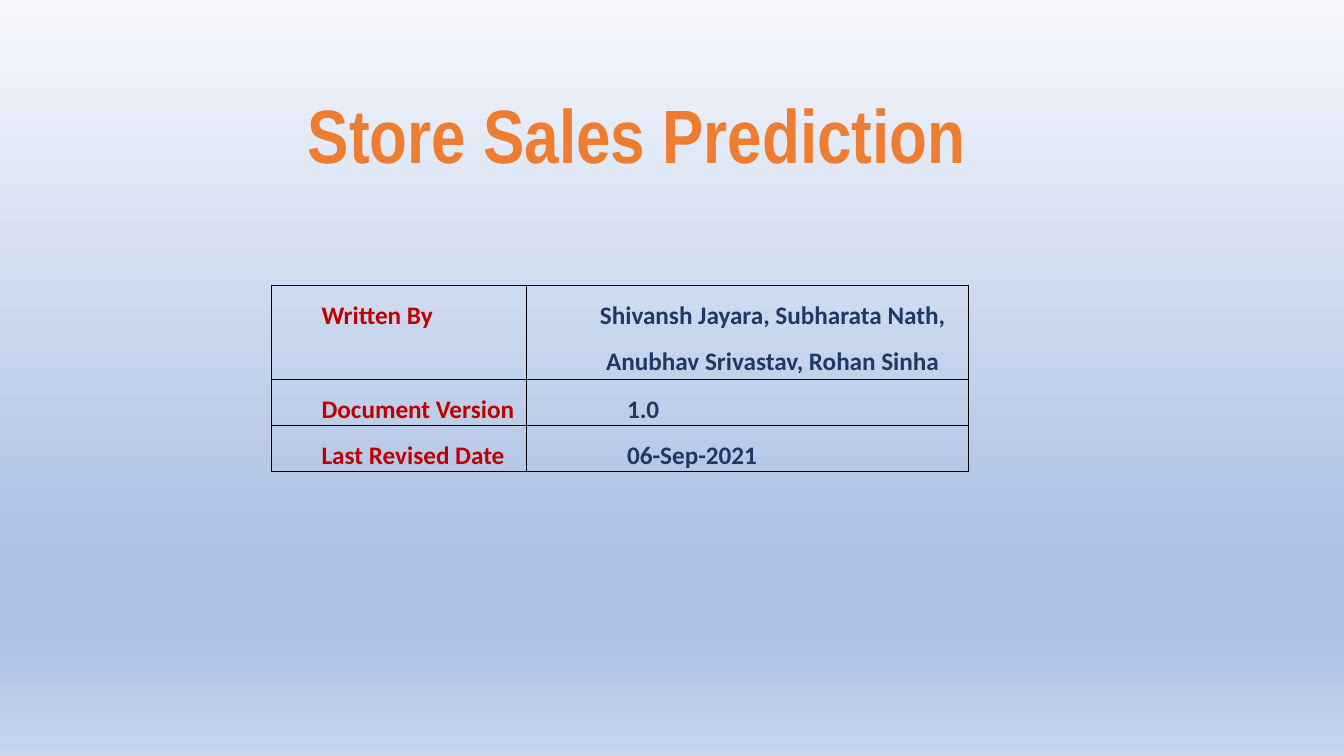
from lxml import etree
from pptx import Presentation
from pptx.dml.color import RGBColor
from pptx.enum.text import MSO_ANCHOR, PP_ALIGN
from pptx.oxml.ns import qn
from pptx.util import Pt

HUES = {"title": "ED7D31", "label": "C00000", "value": "203864", "line": "000000"}
STOPS = [(0, "F6F8FC"), (74, "ABC0E4"), (83, "ABC0E4"), (100, "C7D5ED")]
ROWS = [
    ("Written By", ["Shivansh Jayara, Subharata Nath,", "Anubhav Srivastav, Rohan Sinha"]),
    ("Document Version", ["1.0"]),
    ("Last Revised Date", ["06-Sep-2021"]),
]
COLS = [182.2, 316.1]
HEIGHTS = [67, 31.7, 31.7]


def add_tag(parent, tag, **attrs):
    """Append an XML element with attributes and return it."""
    return etree.SubElement(parent, qn(tag), attrs)


def set_back(slide):
    """Fill the background with a gradient from top to bottom."""
    fill = slide.background.fill
    fill.gradient()
    fill.gradient_angle = 270
    stops = slide.background._cSld.xpath(".//a:gsLst")[0]
    for stop in list(stops):
        stops.remove(stop)
    for place, hue in STOPS:
        stop = add_tag(stops, "a:gs", pos=str(place * 1000))
        add_tag(stop, "a:srgbClr", val=hue)


def put_text(frame, lines, *, size, font, hue, align, space, before=0, indent=0, level=0):
    """Write bold lines into a text frame, one paragraph each."""
    for i, line in enumerate(lines):
        para = frame.add_paragraph() if i else frame.paragraphs[0]
        para.alignment, para.line_spacing, para.level = align, space, level
        para.space_before = Pt(before)
        props = para._p.get_or_add_pPr()
        props.set("marL", str(Pt(indent)))
        props.set("indent", "0")
        run = para.add_run()
        run.text = line
        run.font.size, run.font.name, run.font.bold = Pt(size), font, True
        run.font.color.rgb = RGBColor.from_string(HUES[hue])


def set_title(slide, words):
    """Place and format the title."""
    title = slide.shapes.title
    title.left, title.top, title.width, title.height = map(Pt, (95, 62.6, 720, 69.8))
    title.text_frame.vertical_anchor = MSO_ANCHOR.BOTTOM
    put_text(title.text_frame, [words], size=54, font="Arial Narrow", hue="title",
             align=PP_ALIGN.CENTER, space=0.9)


def set_cell(cell, lines, **style):
    """Clear the fill and margins, draw thin borders and write the text."""
    cell.margin_left = cell.margin_right = cell.margin_top = cell.margin_bottom = 0
    props = cell._tc.get_or_add_tcPr()
    for side in "LRTB":
        line = add_tag(props, f"a:ln{side}", w=str(Pt(1)))
        add_tag(add_tag(line, "a:solidFill"), "a:srgbClr", val=HUES["line"])
    cell.fill.background()
    put_text(cell.text_frame, lines, size=18, font="Calibri", space=1.5, before=0.1, **style)


def add_facts(slide):
    """Add the table of document facts."""
    frame = slide.shapes.add_table(len(ROWS), len(COLS), Pt(193.7), Pt(203.8),
                                   Pt(sum(COLS)), Pt(sum(HEIGHTS)))
    table = frame.table
    table.first_row = table.horz_banding = False
    for col, width in zip(table.columns, COLS):
        col.width = Pt(width)
    for i, (label, lines) in enumerate(ROWS):
        table.rows[i].height = Pt(HEIGHTS[i])
        set_cell(table.cell(i, 0), [label], hue="label", align=PP_ALIGN.JUSTIFY,
                 indent=36, level=1)
        if len(lines) > 1:
            style = {"align": PP_ALIGN.CENTER, "indent": 36}
        else:
            style = {"align": PP_ALIGN.JUSTIFY, "indent": 72, "level": 1}
        set_cell(table.cell(i, 1), lines, hue="value", **style)


def main():
    """Build and save the slide."""
    deck = Presentation()
    deck.slide_width, deck.slide_height = Pt(960), Pt(540)
    slide = deck.slides.add_slide(deck.slide_layouts[5])
    set_back(slide)
    set_title(slide, "Store Sales Prediction")
    add_facts(slide)
    deck.save("out.pptx")


main()
